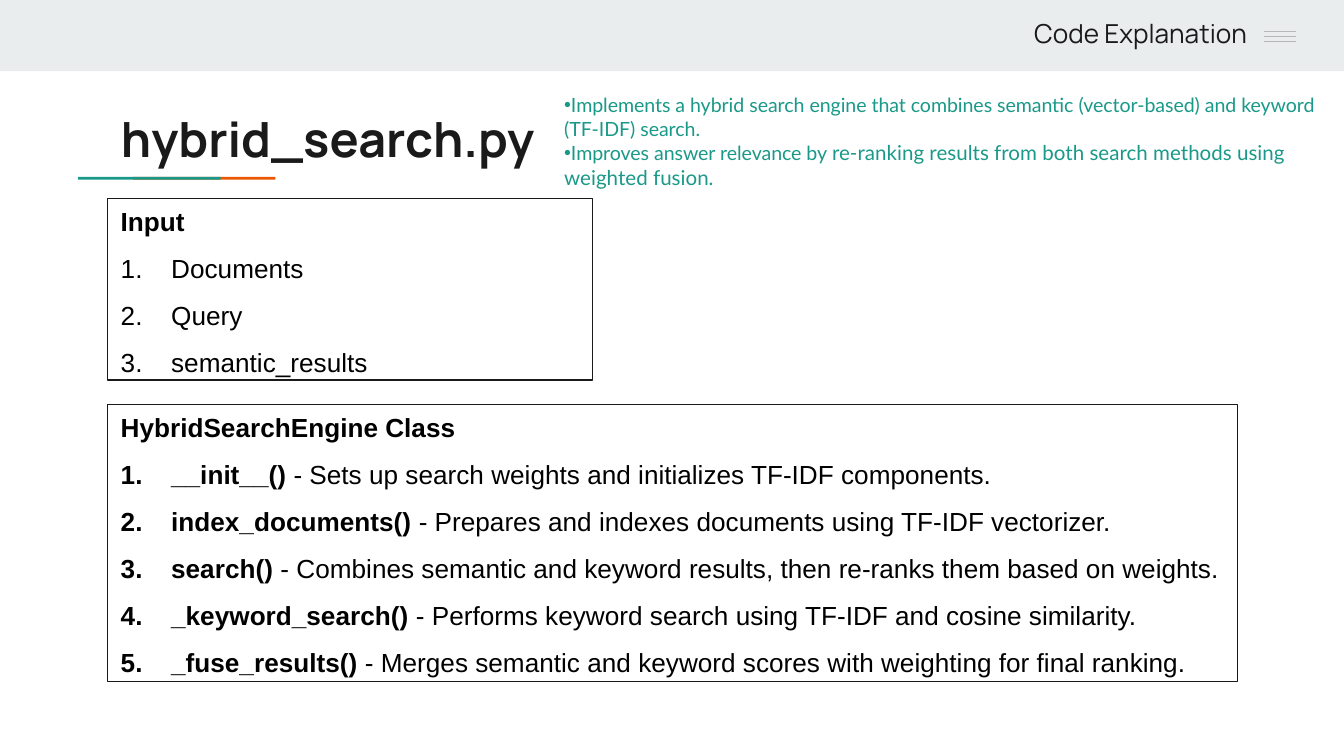
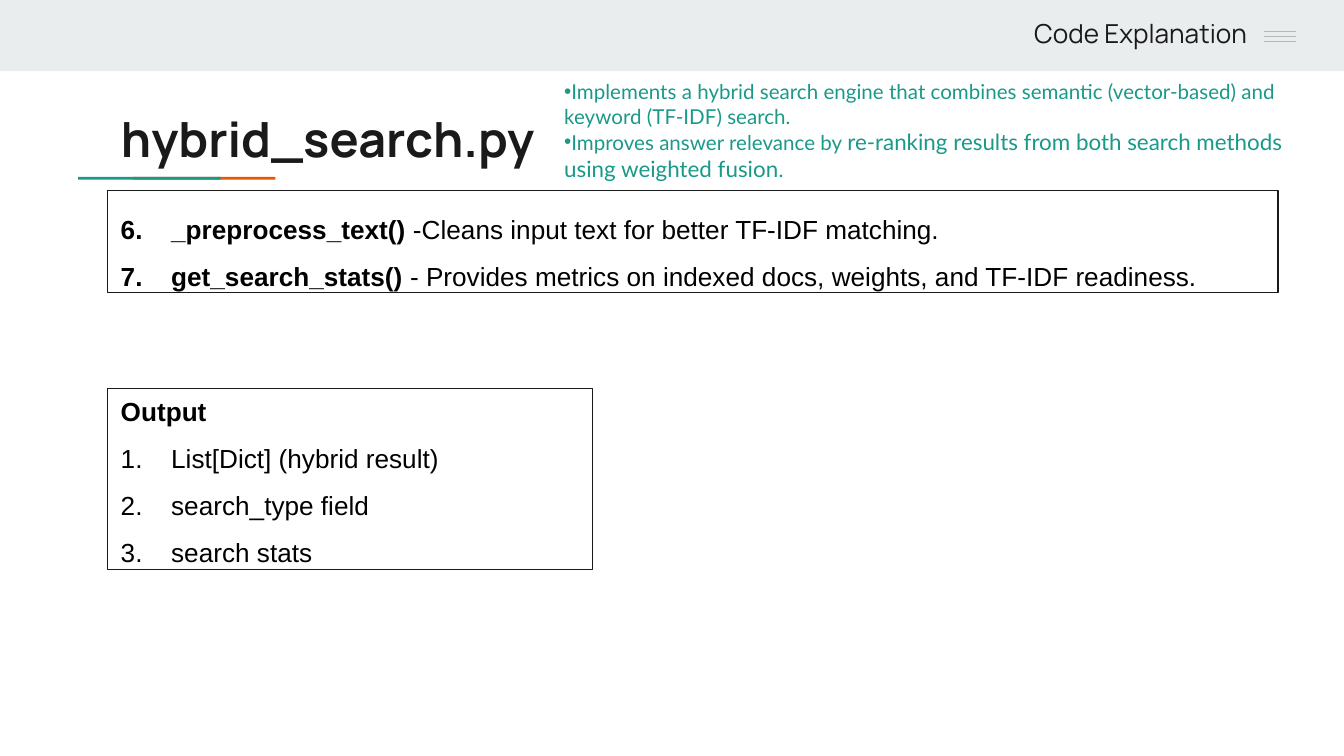
from dataclasses import dataclass

from lxml import etree
from pptx import Presentation
from pptx.dml.color import RGBColor
from pptx.enum.shapes import MSO_CONNECTOR, MSO_SHAPE
from pptx.enum.text import MSO_ANCHOR, MSO_AUTO_SIZE, PP_ALIGN
from pptx.oxml.ns import qn
from pptx.util import Pt

RECT = MSO_SHAPE.RECTANGLE
STRAIGHT = MSO_CONNECTOR.STRAIGHT
TOP, MIDDLE = MSO_ANCHOR.TOP, MSO_ANCHOR.MIDDLE
LEFT, RIGHT = PP_ALIGN.LEFT, PP_ALIGN.RIGHT
GROW, FIXED = MSO_AUTO_SIZE.SHAPE_TO_FIT_TEXT, MSO_AUTO_SIZE.NONE

COLORS = {
    "band": "E9EDEE",
    "teal": "1A9988",
    "orange": "EB5600",
    "menu": "B7B7B7",
    "ink": "1A1A1A",
    "body": "000000",
}
TITLE_FONT, SUMMARY_FONT, BODY_FONT = "Manrope", "Lato", "Arial"
TITLE = "hybrid_search.py"
SECTION = "Code Explanation"
MARGIN = 57.6
NUMBER_INDENT = 27


@dataclass
class Area:
    left: float
    top: float
    width: float
    height: float

    def points(self) -> tuple:
        return Pt(self.left), Pt(self.top), Pt(self.width), Pt(self.height)


@dataclass
class Style:
    size: float
    font: str
    color: str
    bold: bool = False


@dataclass
class Summary:
    """Bulleted purpose of the module; each bullet is a list of (text, size)."""
    area: Area
    bullets: list


@dataclass
class CodeBox:
    """Outlined numbered list; each item is (bold name, description)."""
    area: Area
    heading: str
    items: list
    start: int = 1


@dataclass
class Page:
    summary: Summary
    boxes: list


def rgb(name: str) -> RGBColor:
    return RGBColor.from_string(COLORS[name])


def add_run(p, text: str, style: Style) -> None:
    r = p.add_run()
    r.text = text
    r.font.size = Pt(style.size)
    r.font.name = style.font
    r.font.bold = style.bold
    r.font.color.rgb = rgb(style.color)


def set_frame(tf, anchor, auto_size, inset_y: float) -> None:
    tf.word_wrap = True
    tf.auto_size = auto_size
    tf.vertical_anchor = anchor
    tf.margin_left = tf.margin_right = Pt(7.2)
    tf.margin_top = tf.margin_bottom = Pt(inset_y)


def next_paragraph(tf):
    """Return the blank first paragraph, or a new one once it is used."""
    first = tf.paragraphs[0]
    p = tf.add_paragraph() if first.runs else first
    p.alignment = LEFT
    return p


def set_bullet(p) -> None:
    pPr = p._p.get_or_add_pPr()
    pPr.set("marL", "0")
    pPr.set("indent", "0")
    etree.SubElement(pPr, qn("a:buFont"), typeface=BODY_FONT)
    etree.SubElement(pPr, qn("a:buChar"), char="•")


def set_number(p, start: int) -> None:
    p.line_spacing = 1.5
    pPr = p._p.get_or_add_pPr()
    pPr.set("marL", str(Pt(NUMBER_INDENT)))
    pPr.set("indent", str(-Pt(NUMBER_INDENT)))
    color = etree.SubElement(pPr, qn("a:buClr"))
    etree.SubElement(color, qn("a:srgbClr"), val=COLORS["body"])
    etree.SubElement(pPr, qn("a:buFont"), typeface=BODY_FONT)
    number = etree.SubElement(pPr, qn("a:buAutoNum"), type="arabicPeriod")
    if start > 1:
        number.set("startAt", str(start))


def add_bar(slide, area: Area, color: str) -> None:
    sp = slide.shapes.add_shape(RECT, *area.points())
    sp.shadow.inherit = False
    sp.fill.solid()
    sp.fill.fore_color.rgb = rgb(color)
    sp.line.fill.background()


def add_menu_line(slide, y: float) -> None:
    line = slide.shapes.add_connector(STRAIGHT, Pt(677), Pt(y), Pt(694.2), Pt(y))
    line.line.color.rgb = rgb("menu")
    line.line.width = Pt(0.75)
    etree.SubElement(line._element.spPr, qn("a:effectLst"))


def add_frame(slide) -> None:
    """Draw the header band, menu mark, section label, title and its rule."""
    add_bar(slide, Area(0, 0, 720, 38.2), "band")
    add_bar(slide, Area(71.2, 94.7, 76.4, 1.5), "orange")
    add_bar(slide, Area(41.8, 94.7, 76.4, 1.5), "teal")
    for i in range(3):
        add_menu_line(slide, 16.9 + 2.6 * i)

    title = slide.shapes.title
    title.left, title.top, title.width, title.height = Area(
        MARGIN, 51.1, 605.5, 42.5).points()
    set_frame(title.text_frame, TOP, FIXED, 7.2)
    add_run(next_paragraph(title.text_frame), TITLE,
            Style(26, TITLE_FONT, "ink", True))

    label = slide.shapes.add_textbox(*Area(370, 2.2, 305.3, 31).points())
    set_frame(label.text_frame, TOP, FIXED, 7.2)
    p = next_paragraph(label.text_frame)
    p.alignment = RIGHT
    add_run(p, SECTION, Style(14, TITLE_FONT, "ink"))


def add_summary(slide, summary: Summary) -> None:
    tf = slide.shapes.add_textbox(*summary.area.points()).text_frame
    set_frame(tf, MIDDLE, GROW, 3.6)
    for bullet in summary.bullets:
        p = next_paragraph(tf)
        set_bullet(p)
        for text, size in bullet:
            add_run(p, text, Style(size, SUMMARY_FONT, "teal"))


def add_code_box(slide, box: CodeBox) -> None:
    sp = slide.shapes.add_shape(RECT, *box.area.points())
    sp.shadow.inherit = False
    sp.fill.background()
    sp.line.color.rgb = rgb("ink")
    sp.line.width = Pt(0.75)
    tf = sp.text_frame
    set_frame(tf, TOP, GROW, 3.6)
    plain = Style(14, BODY_FONT, "body")
    strong = Style(14, BODY_FONT, "body", True)
    if box.heading:
        add_run(next_paragraph(tf), box.heading, strong)
    for name, description in box.items:
        p = next_paragraph(tf)
        set_number(p, box.start)
        if name:
            add_run(p, name + " ", strong)
        add_run(p, description, plain)


PURPOSE = ("Implements a hybrid search engine that combines semantic "
           "(vector-based) and keyword (TF-IDF) search.")
BENEFIT = "Improves answer relevance by "
METHOD = "re-ranking results from both search methods using weighted fusion"

PAGES = [
    Page(
        Summary(Area(295.2, 45.4, 424.8, 60.5), [
            [(PURPOSE, 10.5)],
            [(BENEFIT, 10.5), (METHOD + ".", 11)],
        ]),
        [
            CodeBox(Area(MARGIN, 216.7, 605.5, 148.3), "HybridSearchEngine Class", [
                ("__init__()", "- Sets up search weights and initializes TF-IDF components."),
                ("index_documents()", "- Prepares and indexes documents using TF-IDF vectorizer."),
                ("search()", "- Combines semantic and keyword results, "
                             "then re-ranks them based on weights."),
                ("_keyword_search()", "- Performs keyword search using TF-IDF "
                                      "and cosine similarity."),
                ("_fuse_results()", "- Merges semantic and keyword scores "
                                    "with weighting for final ranking."),
            ]),
            CodeBox(Area(MARGIN, 106.4, 259.9, 97.2), "Input", [
                ("", "Documents"),
                ("", "Query"),
                ("", "semantic_results"),
            ]),
        ],
    ),
    Page(
        Summary(Area(295.2, 38.2, 410.4, 63.4), [
            [(PURPOSE, 11)],
            [(BENEFIT, 11), (METHOD, 12), (".", 11)],
        ]),
        [
            CodeBox(Area(MARGIN, 102.2, 627.1, 54.7), "", [
                ("_preprocess_text()", "-Cleans input text for better TF-IDF matching."),
                ("get_search_stats()", "- Provides metrics on indexed docs, "
                                       "weights, and TF-IDF readiness."),
            ], start=6),
            CodeBox(Area(MARGIN, 208.1, 259.9, 97.2), "Output", [
                ("", "List[Dict] (hybrid result)"),
                ("", "search_type field"),
                ("", "search stats"),
            ]),
        ],
    ),
]


def main() -> None:
    prs = Presentation()
    prs.slide_width, prs.slide_height = Pt(720), Pt(405)
    title_only = prs.slide_layouts.get_by_name("Title Only")
    for page in PAGES:
        slide = prs.slides.add_slide(title_only)
        add_frame(slide)
        add_summary(slide, page.summary)
        for box in page.boxes:
            add_code_box(slide, box)
    prs.save("out.pptx")


if __name__ == "__main__":
    main()
